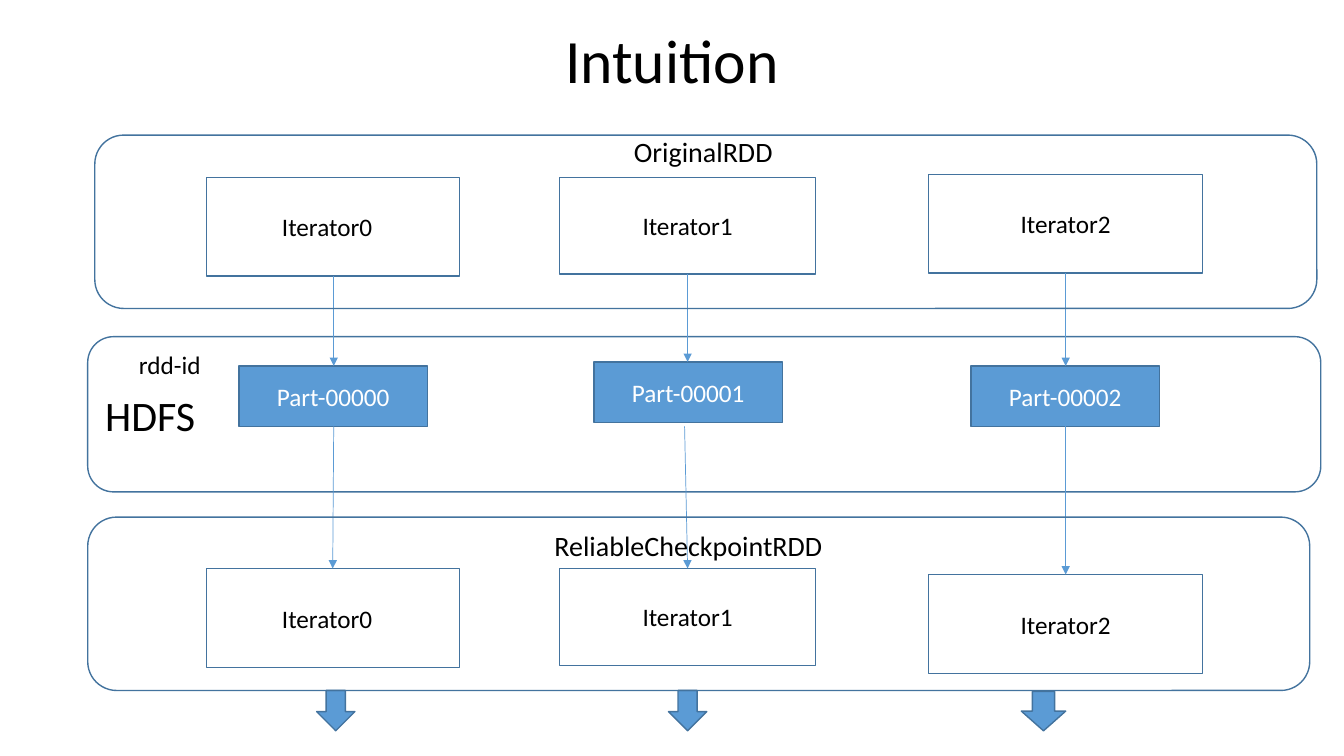
"""Build the Intuition slide: RDD partitions checkpointed through HDFS files."""
import pptx
import pptx.util
import pptx.dml.color
import pptx.enum.shapes
import pptx.enum.text
import pptx.oxml
import pptx.oxml.ns

Inches = pptx.util.Inches
Shape = pptx.enum.shapes.MSO_SHAPE
Align = pptx.enum.text.PP_ALIGN
Anchor = pptx.enum.text.MSO_ANCHOR
COLOURS = {"text": "000000", "light": "FFFFFF", "fill": "5B9BD5", "outline": "43739E"}
RGB = {name: pptx.dml.color.RGBColor.from_string(code) for name, code in COLOURS.items()}

deck = pptx.Presentation()
deck.slide_width, deck.slide_height = Inches(13.33), Inches(7.5)
page = deck.slides.add_slide(deck.slide_layouts[6])


def write(box, text, size, colour="text", align=Align.CENTER, **frame_format):
    """Put one styled line of text into a box."""
    frame = box.text_frame
    frame_values = {"word_wrap": True, "vertical_anchor": Anchor.MIDDLE} | frame_format
    for name, value in frame_values.items():
        setattr(frame, name, value)
    para = frame.paragraphs[0]
    para.alignment = align
    span = para.add_run()
    span.text = text
    font_values = {"name": "Calibri", "size": pptx.util.Pt(size)}
    for name, value in font_values.items():
        setattr(span.font, name, value)
    span.font.color.rgb = RGB[colour]


def draw(kind, place, fill=None):
    """Add an outlined shape, filled only when a fill colour is named."""
    box = page.shapes.add_shape(kind, *map(Inches, place))
    box.shadow.inherit = False
    if fill:
        box.fill.solid()
        box.fill.fore_color.rgb = RGB[fill]
    else:
        box.fill.background()
    box.line.color.rgb = RGB["outline"]
    box.line.width = pptx.util.Pt(1)
    return box


hdfs = draw(Shape.ROUNDED_RECTANGLE, (0.87, 3.34, 12.23, 1.54))
write(hdfs, "HDFS", 30, align=Align.LEFT)

columns = [
    {"left": 2.05, "width": 2.51, "height": 0.98, "tops": (1.76, 5.64), "inset": 0.22,
     "part": (2.37, 3.63), "arrow": (3.14, 6.85, 0.38, 0.4), "flow": (3.31, 3.31, 3.3)},
    {"left": 5.55, "width": 2.54, "height": 0.96, "tops": (1.76, 5.64), "inset": 0.1,
     "part": (5.89, 3.59), "arrow": (6.63, 6.85, 0.38, 0.4), "flow": (6.82, 6.79, 6.82)},
    {"left": 9.21, "width": 2.72, "height": 0.98, "tops": (1.73, 5.7), "inset": 0.1,
     "part": (9.63, 3.63), "arrow": (10.13, 6.86, 0.44, 0.39), "flow": (10.57, 10.57, 10.57)},
]
for number, column in enumerate(columns):
    for top in column["tops"]:
        iterator = draw(Shape.RECTANGLE, (column["left"], top, column["width"], column["height"]))
        write(iterator, f"Iterator{number}", 18, margin_right=Inches(column["inset"]))
    part = draw(Shape.RECTANGLE, (*column["part"], 1.87, 0.6), "fill")
    write(part, f"Part-{number:05}", 18, "light")
    draw(Shape.DOWN_ARROW, column["arrow"], "fill")

    source_top, target_top = column["tops"]
    write_x, read_x, target_x = column["flow"]
    flows = [
        (write_x, source_top + column["height"], write_x, column["part"][1]),
        (read_x, 4.23, target_x, target_top),
    ]
    for ends in flows:
        flow = page.shapes.add_connector(
            pptx.enum.shapes.MSO_CONNECTOR.STRAIGHT, *map(Inches, ends))
        flow.line.color.rgb = RGB["fill"]
        flow.line.width = pptx.util.Pt(0.5)
        tail = pptx.oxml.parse_xml(
            f'<a:tailEnd {pptx.oxml.ns.nsdecls("a")} type="triangle"/>')
        flow.line._get_or_add_ln().append(tail)
        effects = pptx.oxml.parse_xml(f'<a:effectLst {pptx.oxml.ns.nsdecls("a")}/>')
        flow._element.spPr.append(effects)

for place in [(0.87, 5.13, 12.12, 1.72), (0.94, 1.34, 12.12, 1.72)]:
    draw(Shape.ROUNDED_RECTANGLE, place)

labels = [
    ("Intuition", (0, 0.03, 13.33, 1.11), 44, Align.CENTER, Anchor.MIDDLE, True),
    ("rdd-id", (1.28, 3.42, 0.82, 0.4), 18, Align.LEFT, Anchor.TOP, False),
    ("ReliableCheckpointRDD", (5.4, 5.19, 3.11, 0.44), 20, Align.LEFT, Anchor.TOP, True),
    ("OriginalRDD", (5.42, 1.29, 3.11, 0.44), 20, Align.CENTER, Anchor.TOP, True),
]
for text, place, size, align, anchor, wrap in labels:
    label = page.shapes.add_textbox(*map(Inches, place))
    write(label, text, size, align=align, vertical_anchor=anchor, word_wrap=wrap)

deck.save("out.pptx")
